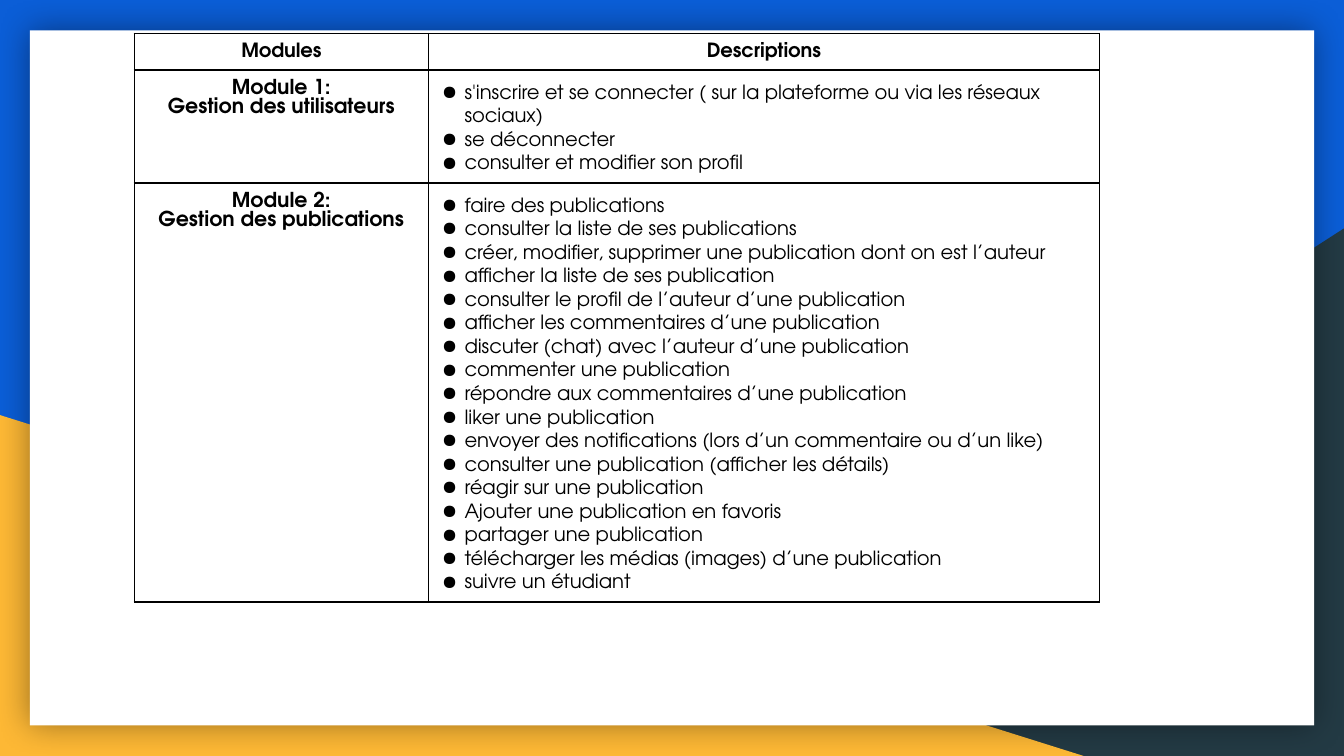
"""Build the slide that lists the modules of the application and their features."""
import lxml.etree
import pptx
import pptx.dml.color
import pptx.enum.shapes
import pptx.enum.text
import pptx.oxml.ns
import pptx.util

Pt = pptx.util.Pt
SHAPE = pptx.enum.shapes.MSO_SHAPE
CENTER = pptx.enum.text.PP_ALIGN.CENTER
FONT = "TeX Gyre Adventor"
BLACK = "000000"
COLUMN_WIDTHS = (157.5, 359.5)
ROW_HEIGHTS = (19.5, 60.5, 224.5)
HEADERS = ("Modules", "Descriptions")
MODULES = (
    (
        ("Module 1:", "Gestion des utilisateurs"),
        (
            "s'inscrire et se connecter ( sur la plateforme ou via les réseaux sociaux)",
            "se déconnecter",
            "consulter et modifier son profil",
        ),
    ),
    (
        ("Module 2:", "Gestion des publications"),
        (
            "faire des publications",
            "consulter la liste de ses publications",
            "créer, modifier, supprimer une publication dont on est l’auteur",
            "afficher la liste de ses publication",
            "consulter le profil de l’auteur d’une publication",
            "afficher les commentaires d’une publication",
            "discuter (chat) avec l’auteur d’une publication",
            "commenter une publication",
            "répondre aux commentaires d’une publication",
            "liker une publication",
            "envoyer des notifications (lors d’un commentaire ou d’un like)",
            "consulter une publication (afficher les détails)",
            "réagir sur une publication",
            "Ajouter une publication en favoris",
            "partager une publication",
            "télécharger les médias (images) d’une publication",
            "suivre un étudiant",
        ),
    ),
)


def color(value):
    return pptx.dml.color.RGBColor.from_string(value)


def add_element(parent, tag, **attributes):
    element = lxml.etree.SubElement(parent, pptx.oxml.ns.qn(tag))
    for name, value in attributes.items():
        element.set(name, str(value))
    return element


def add_panel(page, kind, left, top, width, height, fill):
    panel = page.shapes.add_shape(kind, Pt(left), Pt(top), Pt(width), Pt(height))
    panel.shadow.inherit = False
    panel.fill.solid()
    panel.fill.fore_color.rgb = color(fill)
    panel.line.fill.background()
    return panel


def add_shadow(panel, blur, opacity):
    effects = panel.element.spPr.find(pptx.oxml.ns.qn("a:effectLst"))
    shadow = add_element(effects, "a:outerShdw", blurRad=Pt(blur), dist=0,
                         algn="ctr", rotWithShape=0)
    tint = add_element(shadow, "a:srgbClr", val=BLACK)
    add_element(tint, "a:alpha", val=opacity * 1000)


def add_bullet(para):
    properties = para._p.get_or_add_pPr()
    properties.set("marL", str(Pt(14.4)))
    properties.set("indent", str(Pt(-12.2)))
    add_element(add_element(properties, "a:buClr"), "a:srgbClr", val=BLACK)
    add_element(properties, "a:buChar", char="●")


def add_text(frame, lines, size=10.5, bold=False, align=None, spacing=None, bullet=False):
    for index, line in enumerate(lines):
        para = frame.add_paragraph() if index else frame.paragraphs[0]
        para.alignment = align
        para.line_spacing = spacing
        if bullet:
            add_bullet(para)
        span = para.add_run()
        span.text = line
        span.font.name = FONT
        span.font.size = Pt(size)
        span.font.bold = bold
        span.font.color.rgb = color(BLACK)


def format_cell(cell):
    cell.margin_left = cell.margin_right = Pt(5)
    cell.margin_top = cell.margin_bottom = Pt(5)
    cell.vertical_anchor = pptx.enum.text.MSO_ANCHOR.TOP
    properties = cell._tc.get_or_add_tcPr()
    for side in ("a:lnL", "a:lnR", "a:lnT", "a:lnB"):
        border = add_element(properties, side, w=Pt(1))
        add_element(add_element(border, "a:solidFill"), "a:srgbClr", val=BLACK)
    cell.fill.background()


def add_module_table(page):
    table = page.shapes.add_table(
        len(ROW_HEIGHTS), len(COLUMN_WIDTHS), Pt(72), Pt(18),
        Pt(sum(COLUMN_WIDTHS)), Pt(sum(ROW_HEIGHTS))).table
    table.first_row = table.horz_banding = False
    for column, width in zip(table.columns, COLUMN_WIDTHS):
        column.width = Pt(width)
    for row, height in zip(table.rows, ROW_HEIGHTS):
        row.height = Pt(height)
    for cell in table.iter_cells():
        format_cell(cell)
    for index, header in enumerate(HEADERS):
        add_text(table.cell(0, index).text_frame, [header], bold=True, align=CENTER)
    for index, (title, features) in enumerate(MODULES, start=1):
        add_text(table.cell(index, 0).text_frame, title, size=11, bold=True, align=CENTER)
        add_text(table.cell(index, 1).text_frame, features, spacing=1.3, bullet=True)


def main():
    deck = pptx.Presentation()
    deck.slide_width, deck.slide_height = Pt(720), Pt(405)
    page = deck.slides.add_slide(deck.slide_layouts[6])
    page.background.fill.solid()
    page.background.fill.fore_color.rgb = color("0B5ED7")
    corner = add_panel(page, SHAPE.RIGHT_TRIANGLE, 282, 122.4, 438, 282.6, "233A44")
    corner.element.spPr.get_or_add_xfrm().set("flipH", "1")
    add_panel(page, SHAPE.RIGHT_TRIANGLE, 0, 222.4, 580.5, 182.6, "FDB835")
    sheet = add_panel(page, SHAPE.RECTANGLE, 16, 16.3, 688, 372.4, "FFFFFF")
    add_shadow(sheet, blur=18, opacity=40)
    add_module_table(page)
    deck.save("out.pptx")


if __name__ == "__main__":
    main()
